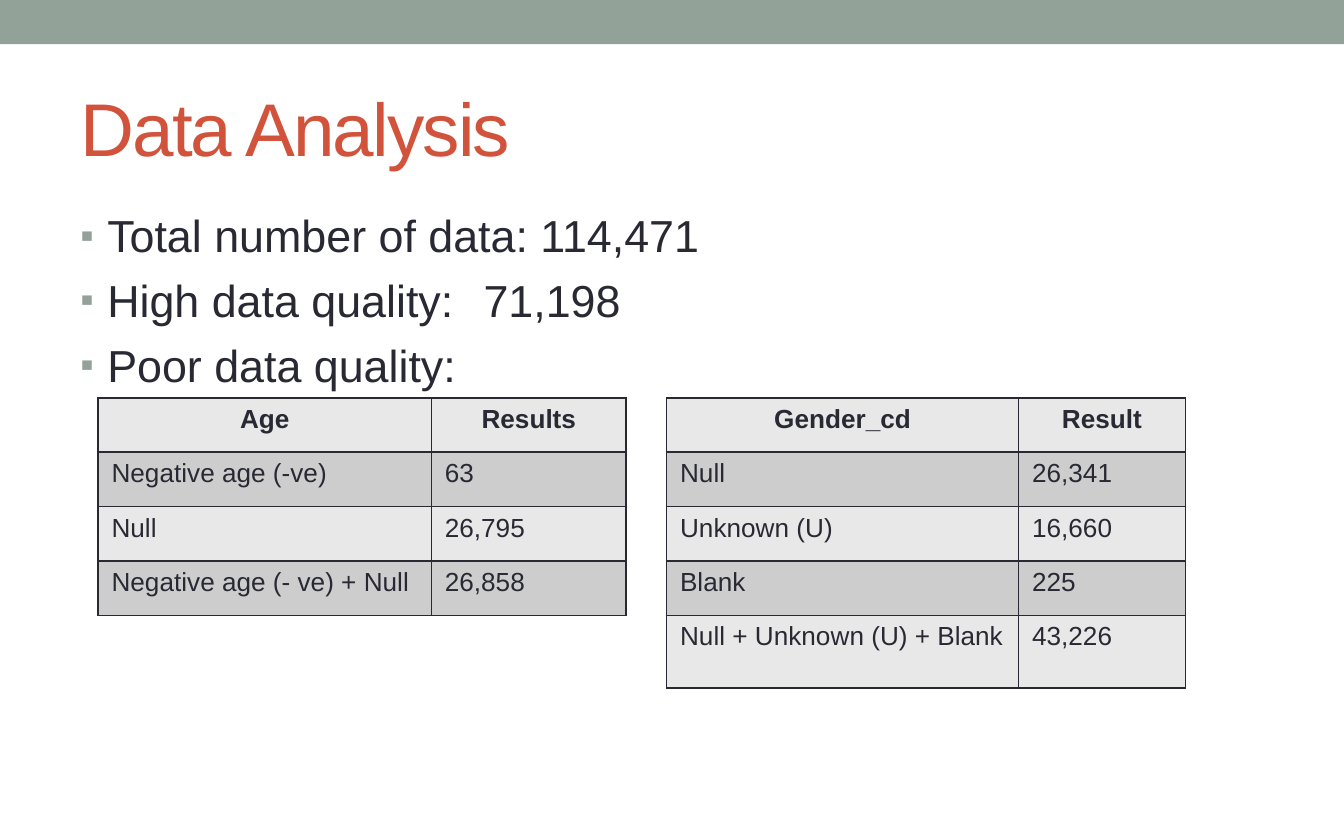
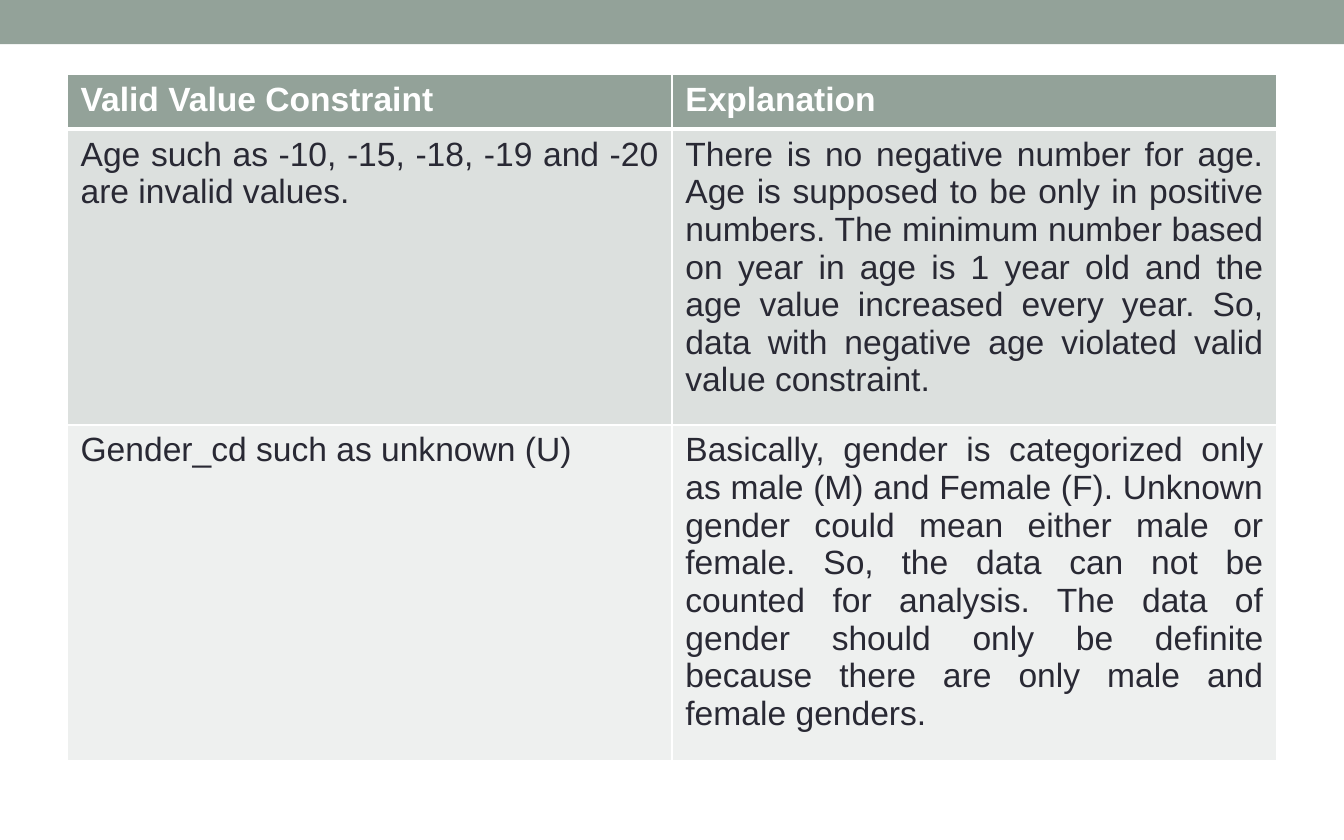
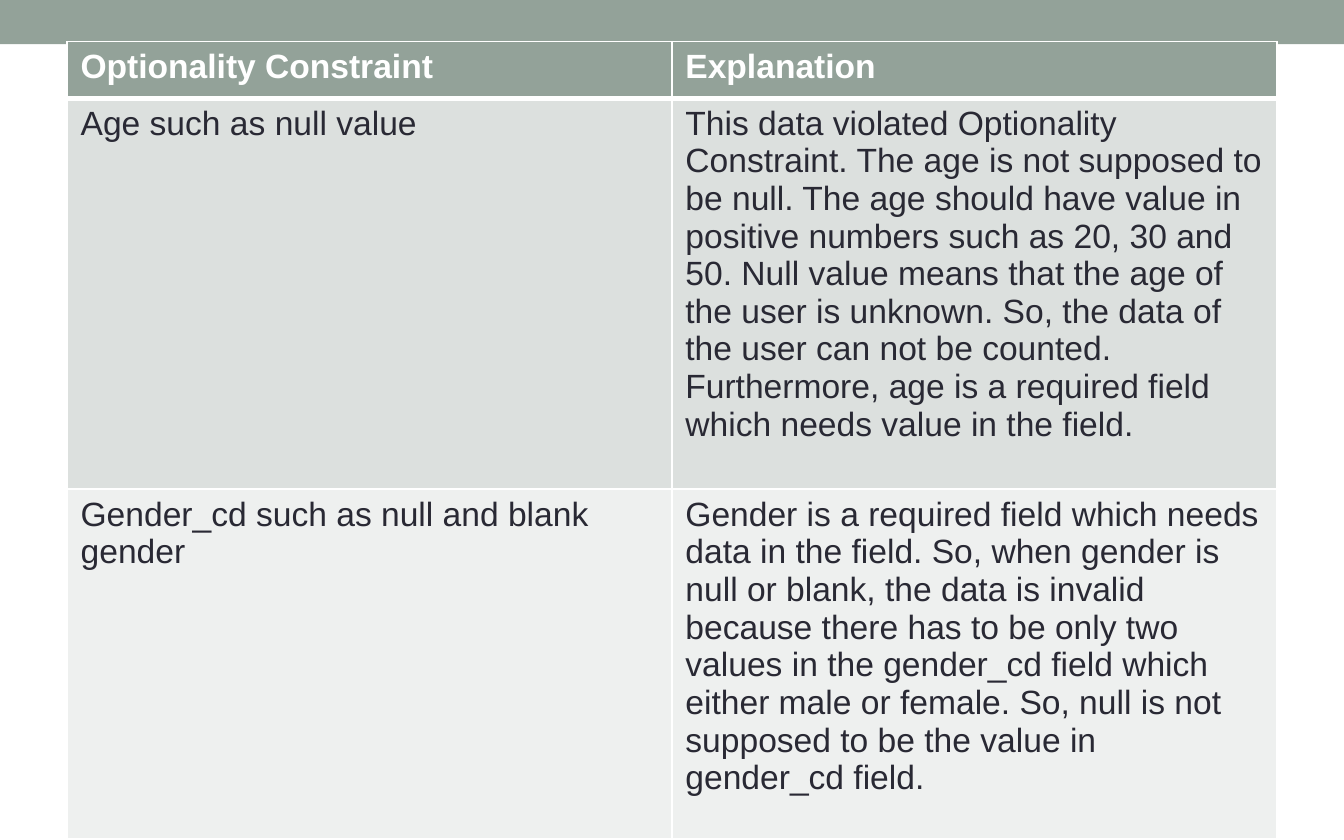
from lxml.etree import SubElement
from pptx import Presentation
from pptx.dml.color import RGBColor
from pptx.enum.shapes import MSO_SHAPE
from pptx.enum.text import MSO_ANCHOR, PP_ALIGN
from pptx.oxml.ns import qn
from pptx.util import Inches, Pt

# Shared look
FONT = "Arial"
SAGE, RUST, INK, WHITE = "93A299", "D2533C", "292934", "FFFFFF"
GREYS = ["E8E8E8", "CDCDCE"]
SAGE_TINTS = ["DCE0DE", "EEF0EF"]


def style(span, size, color, bold=False):
    span.font.name = FONT
    span.font.size = Pt(size)
    span.font.bold = bold
    span.font.color.rgb = RGBColor.from_string(color)


def add_grid(page, left, top, widths, heights, rows, fills, size, line,
             head_color, head_rule=1, head_align=None, body_align=None):
    frame = page.shapes.add_table(len(rows), len(widths), Inches(left), Inches(top),
                                  Inches(sum(widths)), Inches(sum(heights)))
    table = frame.table
    for column, width in zip(table.columns, widths):
        column.width = Inches(width)
    for i, (row, height) in enumerate(zip(rows, heights)):
        table.rows[i].height = Inches(height)
        for j, text in enumerate(row):
            cell = table.cell(i, j)
            # Borders come before the fill in the cell properties
            rules = {"lnL": 1, "lnR": 1,
                     "lnT": head_rule if i == 1 else 1,
                     "lnB": head_rule if i == 0 else 1}
            for tag, points in rules.items():
                border = SubElement(cell._tc.get_or_add_tcPr(), qn(f"a:{tag}"), w=str(Pt(points)))
                solid = SubElement(border, qn("a:solidFill"))
                SubElement(solid, qn("a:srgbClr"), val=line)
            cell.fill.solid()
            cell.fill.fore_color.rgb = RGBColor.from_string(fills[i])
            para = cell.text_frame.paragraphs[0]
            para.alignment = body_align if i else head_align
            span = para.add_run()
            span.text = text
            style(span, size, INK if i else head_color, bold=i == 0)


deck = Presentation()
deck.slide_width, deck.slide_height = Inches(10), Inches(6.25)

# Three pages with the band along the top
pages = []
for _ in range(3):
    page = deck.slides.add_slide(deck.slide_layouts[6])
    band = page.shapes.add_shape(MSO_SHAPE.RECTANGLE, 0, 0, deck.slide_width, Inches(0.33))
    band.shadow.inherit = False
    band.fill.solid()
    band.fill.fore_color.rgb = RGBColor.from_string(SAGE)
    band.line.fill.background()
    pages.append(page)
analysis_page, valid_page, optional_page = pages

# Page 1: title
box = analysis_page.shapes.add_textbox(Inches(0.5), Inches(0.49), Inches(9), Inches(0.9))
box.text_frame.word_wrap = True
box.text_frame.vertical_anchor = MSO_ANCHOR.MIDDLE
span = box.text_frame.paragraphs[0].add_run()
span.text = "Data Analysis"
style(span, 40, RUST)
span.font._element.set("spc", "-100")

# Page 1: bullets
box = analysis_page.shapes.add_textbox(Inches(0.5), Inches(1.5), Inches(9), Inches(4.4))
box.text_frame.word_wrap = True
points = ["Total number of data: 114,471", "High data quality:\t71,198", "Poor data quality:"]
for i, point in enumerate(points):
    para = box.text_frame.add_paragraph() if i else box.text_frame.paragraphs[0]
    if i:
        para.space_before = Pt(5.8)
    props = para._p.get_or_add_pPr()
    props.set("marL", str(Inches(0.2)))
    props.set("indent", str(Inches(-0.2)))
    bullet_color = SubElement(props, qn("a:buClr"))
    SubElement(bullet_color, qn("a:srgbClr"), val=SAGE)
    SubElement(props, qn("a:buSzPct"), val="85000")
    SubElement(props, qn("a:buFont"), typeface=FONT)
    SubElement(props, qn("a:buChar"), char="▪")
    span = para.add_run()
    span.text = point
    style(span, 24, INK)

# Page 1: counts of poor data by age and by gender
age_rows = [
    ("Age", "Results"),
    ("Negative age (-ve)", "63"),
    ("Null", "26,795"),
    ("Negative age (- ve) + Null", "26,858"),
]
gender_rows = [
    ("Gender_cd", "Result"),
    ("Null", "26,341"),
    ("Unknown (U)", "16,660"),
    ("Blank", "225"),
    ("Null + Unknown (U) + Blank", "43,226"),
]
row_height = 1.62 / 4
for left, widths, heights, rows in [
    (0.73, [2.48, 1.45], [row_height] * 4, age_rows),
    (4.96, [2.62, 1.24], [row_height] * 4 + [0.54], gender_rows),
]:
    add_grid(analysis_page, left, 2.96, widths, heights, rows, GREYS * 3, 14, INK, INK,
             head_align=PP_ALIGN.CENTER)

# Pages 2 and 3: constraints and their explanations
valid_rows = [
    ("Valid Value Constraint", "Explanation"),
    ("Age such as -10, -15, -18, -19 and -20 are invalid values.",
     "There is no negative number for age. Age is supposed to be only in positive numbers. "
     "The minimum number based on year in age is 1 year old and the age value increased every "
     "year. So, data with negative age violated valid value constraint."),
    ("Gender_cd such as unknown (U)",
     "Basically, gender is categorized only as male (M) and Female (F). Unknown gender could "
     "mean either male or female. So, the data can not be counted for analysis. The data of "
     "gender should only be definite because there are only male and female genders."),
]
optional_rows = [
    ("Optionality Constraint", "Explanation"),
    ("Age such as null value",
     "This data violated Optionality Constraint. The age is not supposed to be null. The age "
     "should have value in positive numbers such as 20, 30 and 50. Null value means that the "
     "age of the user is unknown. So, the data of the user can not be counted. Furthermore, "
     "age is a required field which needs value in the field."),
    ("Gender_cd such as null and blank gender",
     "Gender is a required field which needs data in the field. So, when gender is null or "
     "blank, the data is invalid because there has to be only two values in the gender_cd "
     "field which either male or female. So, null is not supposed to be the value in "
     "gender_cd field."),
]
for page, top, heights, rows, align in [
    (valid_page, 0.55, [0.41, 2.05, 2.33], valid_rows, PP_ALIGN.JUSTIFY),
    (optional_page, 0.31, [0.42, 2.91, 2.6], optional_rows, None),
]:
    add_grid(page, 0.5, top, [4.5, 4.5], heights, rows, [SAGE] + SAGE_TINTS, 18, WHITE, WHITE,
             head_rule=3, body_align=align)

deck.save("out.pptx")
